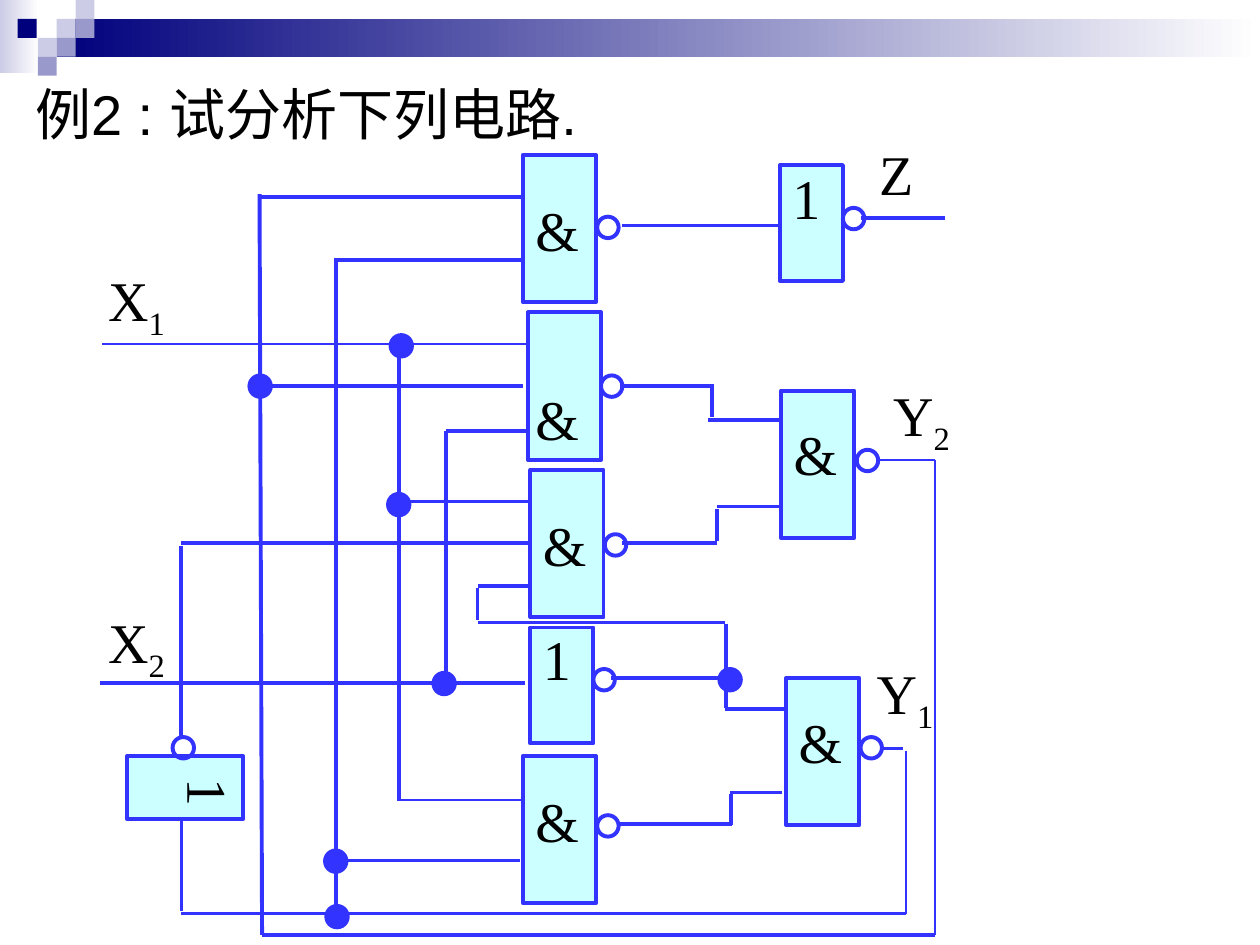
from lxml import etree
from pptx import Presentation
from pptx.dml.color import RGBColor
from pptx.enum.shapes import MSO_CONNECTOR as Connector, MSO_SHAPE as Shape
from pptx.enum.text import MSO_AUTO_SIZE as AutoSize
from pptx.oxml.ns import qn
from pptx.util import Inches, Pt

COLORS = {"wire": "3333FF", "gate": "CCFFFF", "text": "000000", "navy": "00007D",
          "mid": "9999CC", "pale": "CCCCE6", "white": "FFFFFF"}
SERIF = "Times New Roman"
DOT = 0.17
TILE = 0.15
GATE_SIZES = {"&": (0.58, 1.17), "1": (0.5, 0.92)}
MARK_SIZES = {"&": (0.54, 0.64), "1": (0.42, 0.64)}

# left, top, color
TILES = [(0.45, 0.15, "pale"), (0.6, 0, "pale"), (0.6, 0.15, "mid"), (0.3, 0.3, "pale"),
         (0.14, 0.15, "navy"), (0.45, 0.3, "mid"), (0.3, 0.45, "mid")]

# mark, gate corner, mark corner, output bubble corner
GATES = [
    ("&", (4.15, 1.23), (4.15, 1.5), (4.74, 1.72)),
    ("&", (4.19, 2.48), (4.15, 3), (4.77, 2.98)),
    ("&", (4.21, 3.73), (4.21, 4), (4.8, 4.24)),
    ("1", (4.21, 4.98), (4.21, 4.91), (4.71, 5.31)),
    ("&", (4.15, 6), (4.15, 6.19), (4.74, 6.47)),
    ("1", (6.19, 1.31), (6.19, 1.25), (6.69, 1.65)),
    ("&", (6.2, 3.1), (6.2, 3.28), (6.8, 3.57)),
    ("&", (6.24, 5.38), (6.24, 5.57), (6.83, 5.85)),
]
TURNED_GATE = ("1", (1.22, 5.79), (1.45, 5.97), (1.37, 5.85))

# line width -> x1, y1, x2, y2
WIRES = {
    2.25: [
        (1.44, 4.31, 4.19, 4.31), (4.21, 4.65, 3.79, 4.65), (2.67, 2.06, 2.67, 7.23),
        (4.92, 6.54, 5.81, 6.54), (6.21, 3.33, 5.62, 3.33), (6.21, 6.29, 5.79, 6.29),
        (6.23, 5.63, 5.75, 5.63), (5.69, 4.02, 6.19, 4.02), (5.65, 3.06, 5.65, 3.31),
        (4.15, 1.56, 2.06, 1.56), (7.42, 7.42, 2.08, 7.42), (2.06, 1.54, 2.08, 7.42),
        (2.06, 3.06, 4.15, 3.06), (4.19, 3.42, 3.54, 3.42), (1.44, 4.33, 1.44, 5.85),
        (4.85, 5.38, 5.77, 5.38), (3.54, 5.42, 3.54, 3.42), (7.5, 1.73, 6.83, 1.73),
        (5.69, 4.31, 4.94, 4.31), (5.67, 3.06, 4.92, 3.06), (4.94, 1.79, 6.21, 1.79),
        (5.69, 4.04, 5.69, 4.29), (4.17, 5.42, 0.79, 5.42), (4.15, 2.06, 2.65, 2.06),
        (3.17, 2.73, 3.17, 6.35), (5.8, 6.3, 5.8, 6.55), (5.76, 4.95, 5.76, 5.62),
    ],
    1.5: [
        (7, 5.94, 7.17, 5.94), (7.19, 5.96, 7.19, 7.25), (7.19, 7.25, 1.44, 7.25),
        (1.44, 6.48, 1.44, 7.23), (6.96, 3.65, 7.42, 3.65), (7.42, 3.65, 7.42, 7.42),
        (2.69, 6.83, 4.13, 6.83), (3.15, 6.35, 4.17, 6.35), (0.81, 2.73, 4.21, 2.73),
        (3.17, 3.98, 4.21, 3.98), (3.79, 4.94, 5.75, 4.94), (3.79, 4.67, 3.79, 4.92),
    ],
}
JUNCTIONS = [(1.98, 2.98), (3.08, 3.92), (5.71, 5.31), (3.44, 5.34),
             (3.1, 2.66), (2.58, 6.75), (2.59, 7.19)]
# name, subscript, left, top
SIGNALS = [("X", "1", 0.76, 2.06), ("X", "2", 0.76, 4.77),
           ("Y", "2", 6.99, 2.97), ("Y", "1", 6.86, 5.18)]


def rgb(name):
    return RGBColor.from_string(COLORS[name])


def add_block(page, kind, left, top, width, height, fill=None, outlined=True):
    block = page.shapes.add_shape(kind, Inches(left), Inches(top), Inches(width), Inches(height))
    block.shadow.inherit = False
    if fill:
        block.fill.solid()
        block.fill.fore_color.rgb = rgb(fill)
    else:
        block.fill.background()
    if outlined:
        block.line.color.rgb = rgb("wire")
        block.line.width = Pt(2.25)
    else:
        block.line.fill.background()
    return block


def add_fade(page, left, top, width, height, color):
    """Add a bar that fades to white on its right."""
    bar = add_block(page, Shape.RECTANGLE, left, top, width, height, outlined=False)
    bar.fill.gradient()
    bar.fill.gradient_angle = 0
    for stop, name in zip(bar.fill.gradient_stops, (color, "white")):
        stop.color.rgb = rgb(name)


def add_text(page, text, left, top, width, height, font=SERIF, subscript="",
             wrap=False, fit=True, hanging=None):
    box = page.shapes.add_textbox(Inches(left), Inches(top), Inches(width), Inches(height))
    frame = box.text_frame
    frame.word_wrap = wrap
    frame.auto_size = AutoSize.SHAPE_TO_FIT_TEXT if fit else AutoSize.NONE
    para = frame.paragraphs[0]
    if hanging:
        margin, indent = hanging
        properties = para._p.get_or_add_pPr()
        properties.set("marL", str(Inches(margin)))
        properties.set("indent", str(Inches(indent)))
    for part in filter(None, (text, subscript)):
        span = para.add_run()
        span.text = part
        span.font.size = Pt(32)
        span.font.name = font
        span.font.color.rgb = rgb("text")
    if subscript:
        span._r.get_or_add_rPr().set("baseline", "-25000")
    return box


def add_wire(page, x1, y1, x2, y2, width):
    wire = page.shapes.add_connector(Connector.STRAIGHT, Inches(x1), Inches(y1),
                                     Inches(x2), Inches(y2))
    wire.line.color.rgb = rgb("wire")
    wire.line.width = Pt(width)
    etree.SubElement(wire._element.spPr, qn("a:effectLst"))


def add_gate(page, mark, corner, mark_corner, bubble_corner, body_turn=0, mark_turn=0):
    body = add_block(page, Shape.RECTANGLE, *corner, *GATE_SIZES[mark], fill="gate")
    body.rotation = body_turn
    label = add_text(page, mark, *mark_corner, *MARK_SIZES[mark])
    label.rotation = mark_turn
    add_block(page, Shape.OVAL, *bubble_corner, DOT, DOT)


def add_banner(page):
    add_fade(page, 0, 0, 0.31, 0.58, "pale")
    add_fade(page, 0.45, 0.15, 9.55, 0.3, "navy")
    for left, top, color in TILES:
        add_block(page, Shape.RECTANGLE, left, top, TILE, TILE, fill=color, outlined=False)


def main():
    deck = Presentation()
    deck.slide_width, deck.slide_height = Inches(10), Inches(7.5)
    page = deck.slides.add_slide(deck.slide_layouts[6])
    add_banner(page)
    add_text(page, "例2 : 试分析下列电路.", 0, 0.58, 4.9, 0.67, font="Arial",
             wrap=True, fit=False, hanging=(0.38, -0.2))
    for width, wires in WIRES.items():
        for wire in wires:
            add_wire(page, *wire, width)
    for gate in GATES:
        add_gate(page, *gate)
    add_gate(page, *TURNED_GATE, body_turn=270, mark_turn=90)
    for left, top in JUNCTIONS:
        add_block(page, Shape.OVAL, left, top, DOT, DOT, fill="wire")
    for name, subscript, left, top in SIGNALS:
        add_text(page, name, left, top, 0.65, 0.71, subscript=subscript, wrap=True)
    add_text(page, "Z", 6.88, 1.06, 0.47, 0.64)
    deck.save("out.pptx")


if __name__ == "__main__":
    main()
